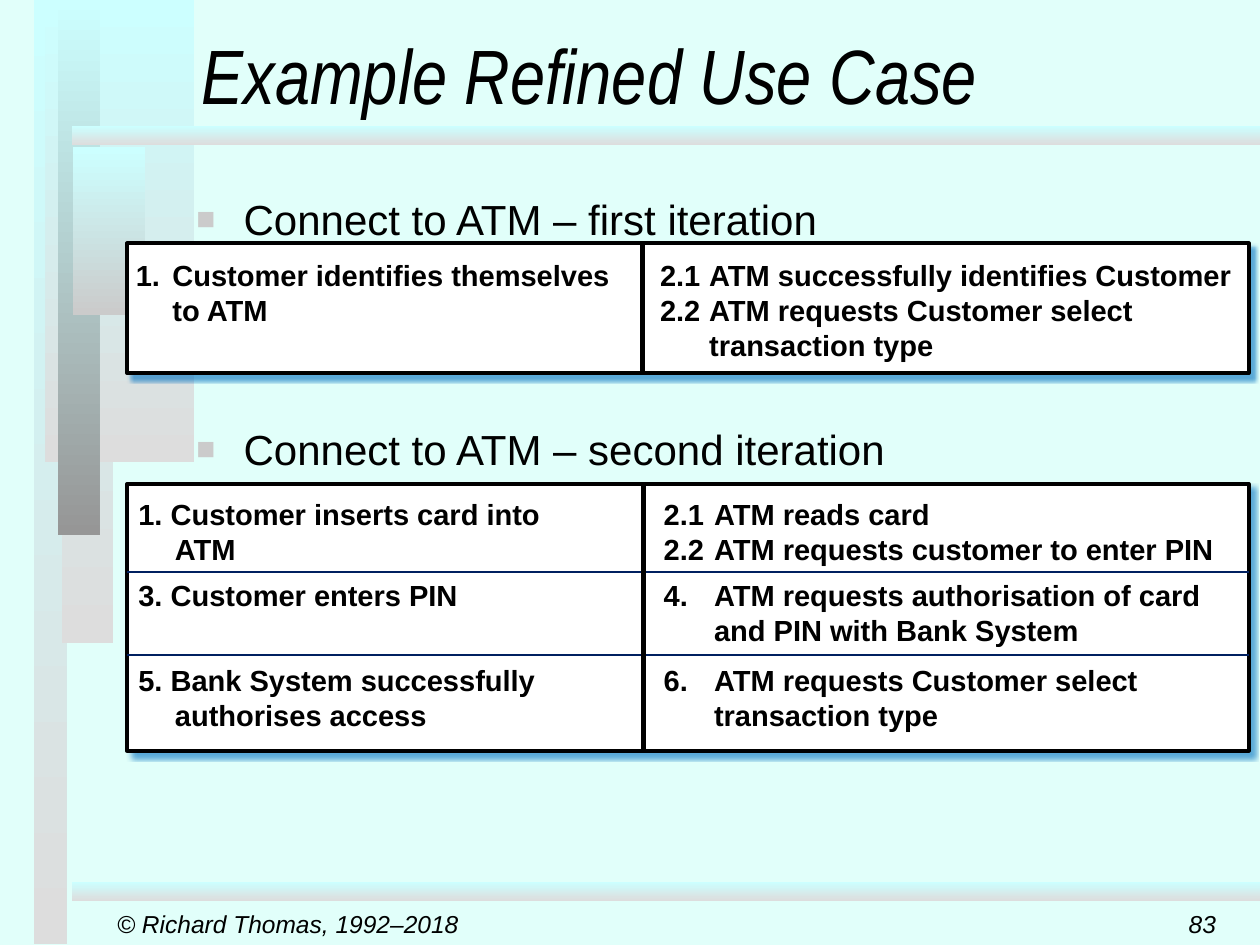
from lxml import etree
from pptx import Presentation
from pptx.dml.color import RGBColor
from pptx.enum.shapes import MSO_CONNECTOR, MSO_SHAPE
from pptx.enum.text import MSO_ANCHOR, MSO_AUTO_SIZE, PP_ALIGN
from pptx.oxml.ns import qn
from pptx.util import Pt

RECTANGLE = MSO_SHAPE.RECTANGLE
STRAIGHT = MSO_CONNECTOR.STRAIGHT
NO_AUTOFIT = MSO_AUTO_SIZE.NONE
TOP, MIDDLE, BOTTOM = MSO_ANCHOR.TOP, MSO_ANCHOR.MIDDLE, MSO_ANCHOR.BOTTOM
LEFT, RIGHT = PP_ALIGN.LEFT, PP_ALIGN.RIGHT

BLACK, WHITE, NAVY, BLUE = "000000", "FFFFFF", "002060", "0070C0"
MINT, CYAN, SILVER, GRAY, BULLET = "E1FFFA", "CCFFFF", "DDDDDD", "969696", "CBCBCB"

TITLE = "Example Refined Use Case"
HEADINGS = [
    ("Connect to ATM – first iteration", 0),
    ("Connect to ATM – second iteration", 102.7),
]
FOOTERS = [
    ("83", (666, 516.2, 36, 23.8), RIGHT),
    ("© Richard Thomas, 1992–2018", (59.8, 516.2, 212, 23.8), LEFT),
]
DECORATIONS = [
    ((19.4, 0, 18.7, 539.3), SILVER),
    ((35.3, 0, 29.5, 367.2), SILVER),
    ((25.9, 0, 85, 264.2), SILVER),
    ((33.1, 0, 23.8, 306), GRAY),
    ((41.8, 84.2, 41, 95.8), BULLET),
    ((41, 72, 679, 10.8), SILVER),
    ((41, 504, 679, 10.8), SILVER),
]
PANEL_LEFT, PANEL_WIDTH = 72.7, 640.8
PANELS = [
    {
        "top": 139, "height": 74.2, "divider": 367.2, "rules": [],
        "columns": [
            ((370.1, 143.3, 342, 67.7), 28.1, [
                ("2.1\tATM successfully identifies Customer", 0),
                ("2.2\tATM requests Customer select\ntransaction type", 0),
            ]),
            ((70.6, 143.3, 293, 47.5), 20.9, [
                ("1.\tCustomer identifies themselves\nto ATM", 0),
            ]),
        ],
    },
    {
        "top": 276.5, "height": 152.6, "divider": 367.9, "rules": [326.9, 374.4],
        "columns": [
            ((72, 280.1, 301.7, 144), 20.9, [
                ("1. Customer inserts card into\nATM", 0),
                ("3. Customer enters PIN", 6.3),
                ("5. Bank System successfully\nauthorises access", 28.6),
            ]),
            ((372.2, 280.1, 331.2, 144), 28.8, [
                ("2.1\tATM reads card", 0),
                ("2.2\tATM requests customer to enter PIN", 0),
                ("4.\tATM requests authorisation of card\nand PIN with Bank System", 6.3),
                ("6.\tATM requests Customer select transaction type", 8.6),
            ]),
        ],
    },
]
TITLE_FONT = {"name": "Arial Narrow", "size": Pt(44), "italic": True, "bold": False}
HEADING_FONT = {"name": "Arial", "size": Pt(24)}
STEP_FONT = {"name": "Arial", "size": Pt(16.6), "bold": True}
FOOTER_FONT = {"name": "Arial", "size": Pt(14), "italic": True}
STEP_LEADING = Pt(20)


def color(hex_value):
    return RGBColor.from_string(hex_value)


def apply(target, values):
    for name, value in values.items():
        setattr(target, name, value)


def add_element(parent, tag, **attributes):
    return etree.SubElement(parent, qn(tag), attributes)


def add_bullet(paragraph):
    properties = paragraph._p.get_or_add_pPr()
    add_element(add_element(properties, "a:buClr"), "a:srgbClr", val=BULLET)
    add_element(properties, "a:buSzPct", val="75000")
    add_element(properties, "a:buFont", typeface="Arial")
    add_element(properties, "a:buChar", char="■")


def fill_text(frame, entries, font, anchor=TOP, align=LEFT, indent=0, leading=None, bullet=False):
    apply(frame, {"word_wrap": True, "auto_size": NO_AUTOFIT, "vertical_anchor": anchor})
    for index, (text, gap) in enumerate(entries):
        paragraph = frame.paragraphs[0] if index == 0 else frame.add_paragraph()
        paragraph.text = text
        apply(paragraph, {"alignment": align, "space_before": Pt(gap), "line_spacing": leading})
        if indent:
            properties = paragraph._p.get_or_add_pPr()
            properties.set("marL", str(Pt(indent)))
            properties.set("indent", str(-Pt(indent)))
        if bullet:
            add_bullet(paragraph)
        for run in paragraph.runs:
            apply(run.font, font)
            run.font.color.rgb = color(BLACK)


def add_text(slide, box, entries, font, **layout):
    frame = slide.shapes.add_textbox(*map(Pt, box)).text_frame
    fill_text(frame, entries, font, **layout)


def add_rectangle(slide, box):
    rectangle = slide.shapes.add_shape(RECTANGLE, *map(Pt, box))
    rectangle.shadow.inherit = False
    return rectangle


def add_decoration(slide, box, end_color):
    decoration = add_rectangle(slide, box)
    decoration.line.fill.background()
    decoration.fill.gradient()
    decoration.fill.gradient_angle = 270
    for stop, hex_value in zip(decoration.fill.gradient_stops, (CYAN, end_color)):
        stop.color.rgb = color(hex_value)


def add_line(slide, start, end, hex_value, width):
    line = slide.shapes.add_connector(STRAIGHT, *map(Pt, start + end))
    line.line.color.rgb = color(hex_value)
    line.line.width = Pt(width)
    add_element(line._element.spPr, "a:effectLst")


def add_panel(slide, panel):
    top, height, divider = panel["top"], panel["height"], panel["divider"]
    frame = add_rectangle(slide, (PANEL_LEFT, top, PANEL_WIDTH, height))
    frame.fill.solid()
    frame.fill.fore_color.rgb = color(WHITE)
    frame.line.color.rgb = color(BLACK)
    frame.line.width = Pt(2.25)
    effects = frame._element.spPr.find(qn("a:effectLst"))
    shadow = add_element(effects, "a:outerShdw", blurRad=str(Pt(2)), dist=str(Pt(4)),
                         dir="2700000", algn="tl", rotWithShape="0")
    tint = add_element(shadow, "a:srgbClr", val=BLUE)
    add_element(tint, "a:alpha", val="60000")
    for box, indent, steps in panel["columns"]:
        add_text(slide, box, steps, STEP_FONT, indent=indent, leading=STEP_LEADING)
    for y in panel["rules"]:
        add_line(slide, (PANEL_LEFT, y), (PANEL_LEFT + PANEL_WIDTH, y), NAVY, 1)
    add_line(slide, (divider, top), (divider, top + height), BLACK, 3)


def main():
    deck = Presentation()
    deck.slide_width, deck.slide_height = Pt(720), Pt(540)
    slide = deck.slides.add_slide(deck.slide_layouts[5])
    slide.background.fill.solid()
    slide.background.fill.fore_color.rgb = color(MINT)

    title = slide.shapes.title
    apply(title, {"left": Pt(108), "top": Pt(0), "width": Pt(612), "height": Pt(72)})
    fill_text(title.text_frame, [(TITLE, 0)], TITLE_FONT, anchor=BOTTOM)

    for box, end_color in DECORATIONS:
        add_decoration(slide, box, end_color)
    add_text(slide, (105.1, 107, 589, 354), HEADINGS, HEADING_FONT, indent=27, bullet=True)
    for panel in PANELS:
        add_panel(slide, panel)
    for text, box, align in FOOTERS:
        add_text(slide, box, [(text, 0)], FOOTER_FONT, anchor=MIDDLE, align=align)
    deck.save("out.pptx")


if __name__ == "__main__":
    main()
